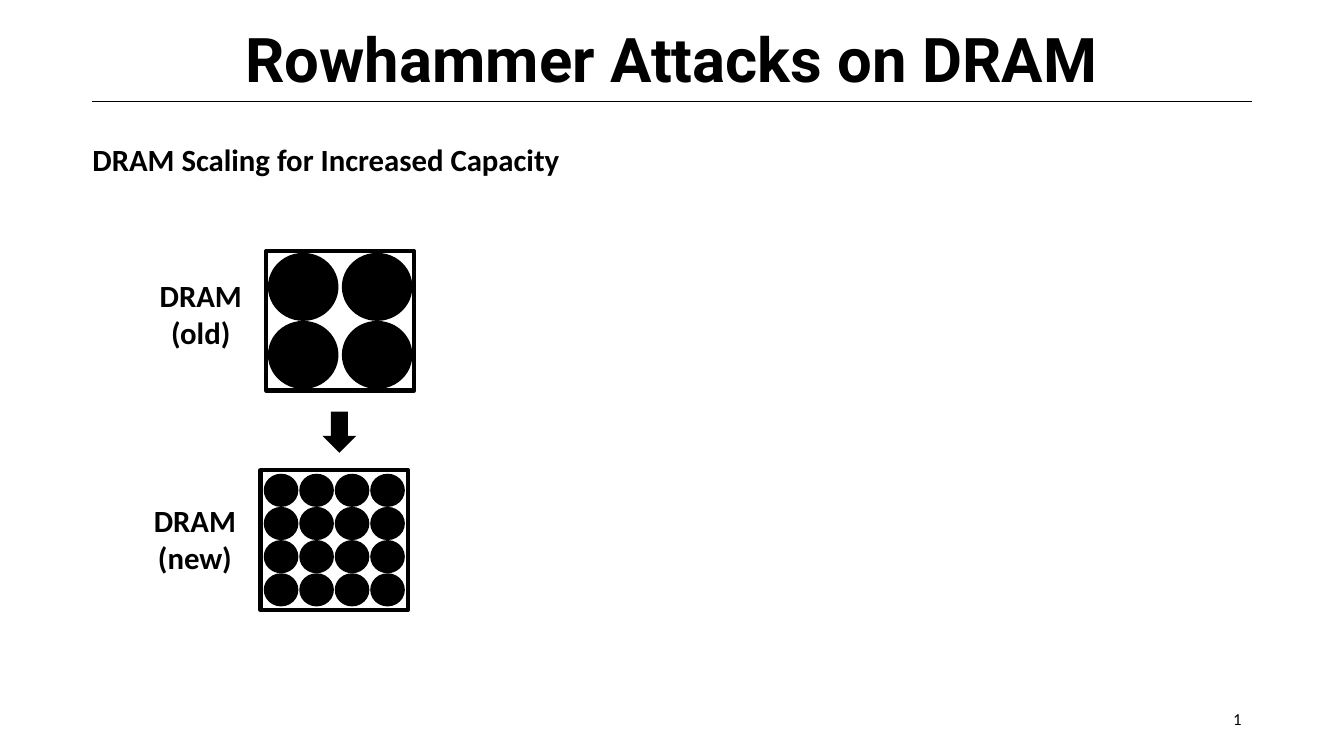
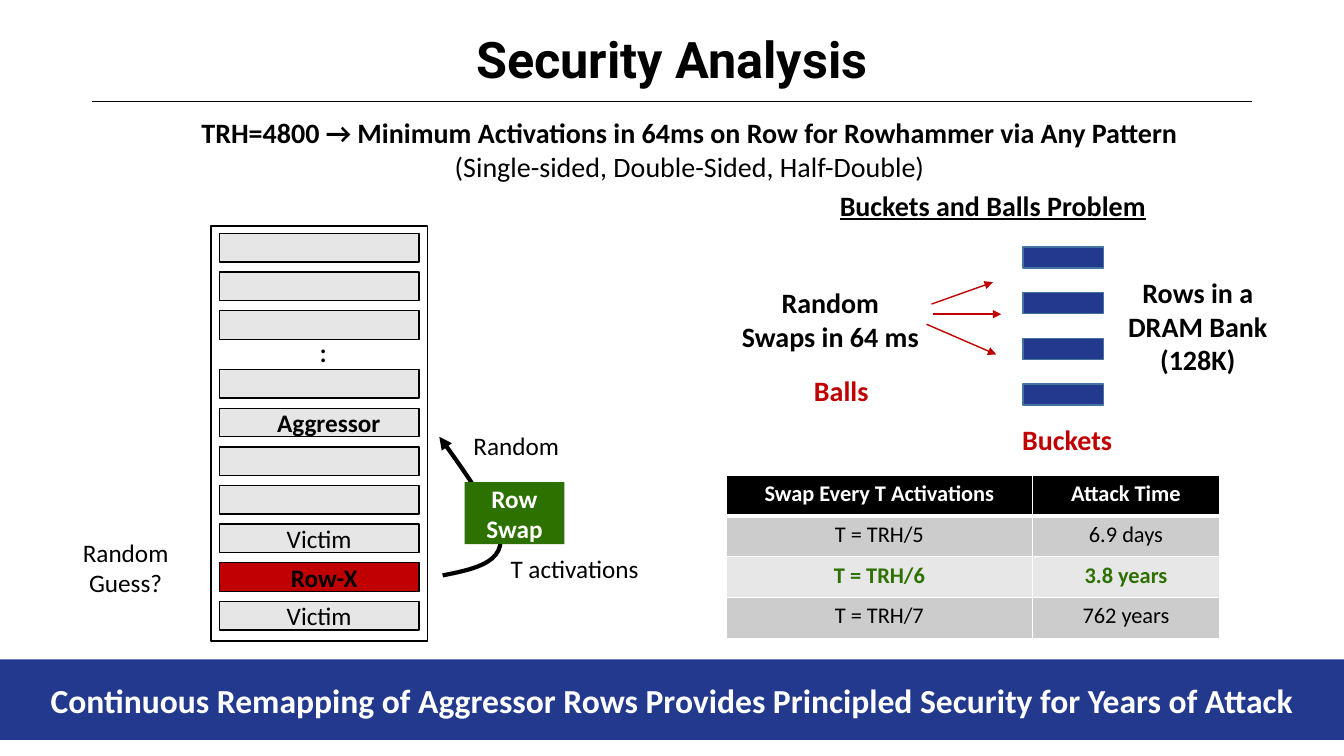
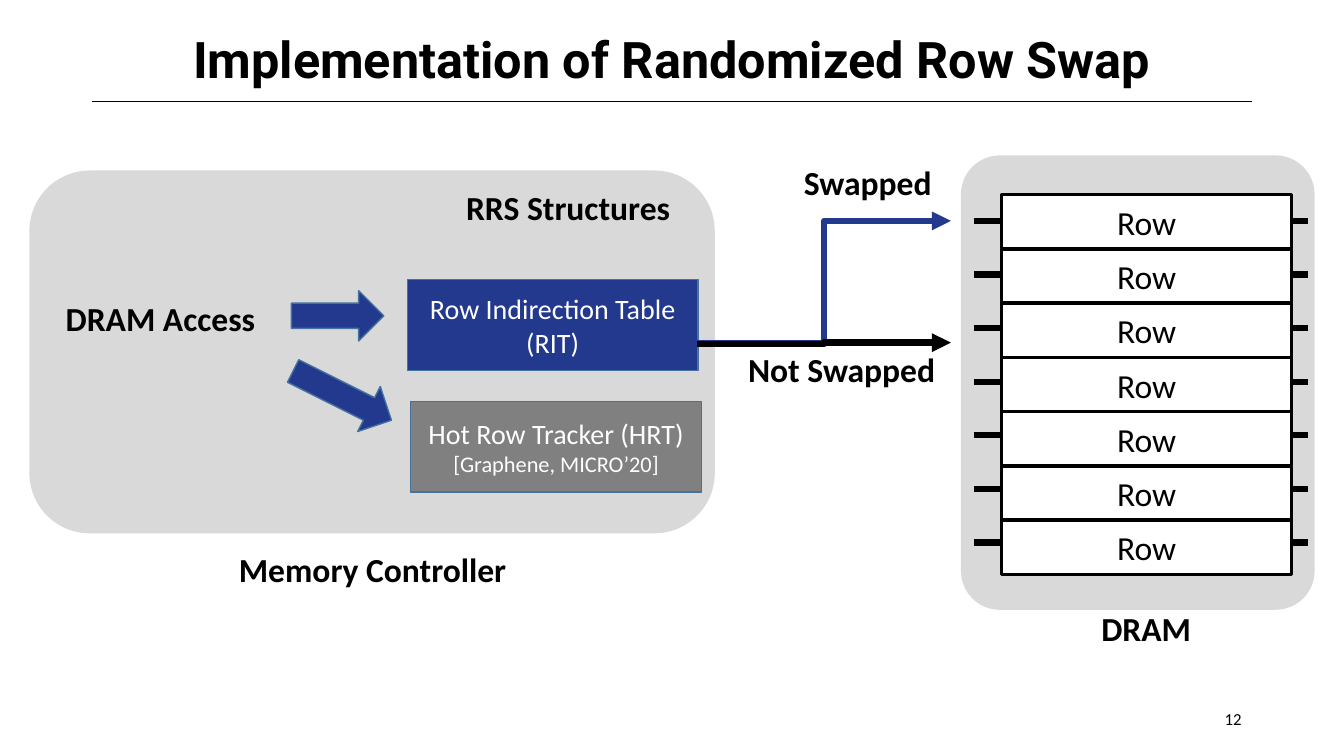
"""Build three slides on Rowhammer attacks and randomized row swaps."""
import dataclasses
import itertools

import lxml.etree
import pptx
import pptx.dml.color
import pptx.enum.shapes
import pptx.enum.text
import pptx.oxml.ns
import pptx.util

SHAPE = pptx.enum.shapes.MSO_SHAPE
LINK = pptx.enum.shapes.MSO_CONNECTOR
ALIGN = pptx.enum.text.PP_ALIGN
ANCHOR = pptx.enum.text.MSO_ANCHOR
COLUMNS, ROWS = 160, 90
CELL = pptx.util.Inches(1) / 12
COLORS = {
    "black": "000000", "white": "FFFFFF", "blue": "23398E", "edge": "43739E",
    "red": "C00000", "green": "2D7100", "row": "E7E6E6", "panel": "D9D9D9",
    "gray": "808080", "odd": "CCCCCC", "even": "E7E7E7",
}


@dataclasses.dataclass
class Box:
    """A rectangle in grid columns and rows."""
    x: float
    y: float
    w: float
    h: float

    def inner(self, x, y, w, h):
        """Return a box placed from this box's corner."""
        return Box(self.x + x, self.y + y, w, h)

    def point(self, x, y):
        """Return a slide point given from this box's corner."""
        return self.x + x, self.y + y

    def emu(self):
        """Return left, top, width and height as lengths."""
        return [length(v) for v in (self.x, self.y, self.w, self.h)]


def length(cells):
    """Convert grid cells to a length."""
    return pptx.util.Emu(round(cells * CELL))


def rgb(name):
    """Return a named colour."""
    return pptx.dml.color.RGBColor.from_string(COLORS[name])


def qn(tag):
    """Return a qualified XML name."""
    return pptx.oxml.ns.qn(tag)


def write(frame, lines, size, color="black", bold=False, align=ALIGN.CENTER, font="Calibri"):
    """Fill a text frame with evenly formatted paragraphs and return them."""
    frame.word_wrap = True
    frame.text = "\n".join(lines)
    for paragraph in frame.paragraphs:
        paragraph.alignment = align
        paragraph.font.name = font
        paragraph.font.size = pptx.util.Pt(size)
        paragraph.font.bold = bold
        paragraph.font.color.rgb = rgb(color)
    return frame.paragraphs


def label(slide, box, lines, size, **style):
    """Place a text box and return its paragraphs."""
    return write(slide.shapes.add_textbox(*box.emu()).text_frame, lines, size, **style)


def paint(shape, fill=None, line=None, width=1):
    """Set fill and outline and drop the shadow."""
    shape.shadow.inherit = False
    if fill:
        shape.fill.solid()
        shape.fill.fore_color.rgb = rgb(fill)
    else:
        shape.fill.background()
    if line:
        shape.line.color.rgb = rgb(line)
        shape.line.width = pptx.util.Pt(width)
    else:
        shape.line.fill.background()


def block(slide, box, fill=None, line=None, width=1, kind=SHAPE.RECTANGLE):
    """Place a preset shape."""
    shape = slide.shapes.add_shape(kind, *box.emu())
    paint(shape, fill, line, width)
    return shape


def add_arrowhead(shape):
    """End a line in a triangle."""
    outline = shape.element.spPr.find(qn("a:ln"))
    lxml.etree.SubElement(outline, qn("a:tailEnd"), type="triangle")


def connect(slide, start, end, color, width, arrow=False, kind=LINK.STRAIGHT):
    """Draw a connector between two grid points."""
    connector = slide.shapes.add_connector(kind, *[length(v) for v in (*start, *end)])
    connector.line.color.rgb = rgb(color)
    connector.line.width = pptx.util.Pt(width)
    if arrow:
        add_arrowhead(connector)
    lxml.etree.SubElement(connector.element.spPr, qn("a:effectLst"))
    return connector


def titled_slide(deck, title, size=36, number=None):
    """Add a slide with its title and, if given, its page number."""
    slide = deck.slides.add_slide(deck.slide_layouts[5])
    heading = slide.shapes.title
    heading.left, heading.top, heading.width, heading.height = Box(11, 2.8, 138, 9.3).emu()
    heading.text_frame.vertical_anchor = ANCHOR.MIDDLE
    write(heading.text_frame, [title], size, bold=True, font="Roboto")[0].line_spacing = 0.9
    if number:
        label(slide, Box(113, 83.8, 36, 4), [number], 12, align=ALIGN.RIGHT)
    return slide


def share_title_rule(deck, slide):
    """Draw the line under the title once, on the shared layout."""
    rule = connect(slide, (11, 12.1), (149, 12.1), "black", 0.5)
    deck.slide_layouts[5].shapes.element.append(rule.element)


def memory_chip(slide, box, name, per_side, pad, gap, name_top):
    """Draw a chip with a square array of round cells and a name at its left."""
    block(slide, box, line="black", width=3)
    step_x = (box.w - 2 * pad + gap) / per_side
    step_y = (box.h - 2 * pad) / per_side
    for row, column in itertools.product(range(per_side), repeat=2):
        dot = box.inner(pad + column * step_x, pad + row * step_y, step_x - gap, step_y)
        block(slide, dot, "black", kind=SHAPE.OVAL)
    label(slide, box.inner(-17.8, name_top, 20, 10), ["DRAM", name], 22, bold=True)


def row_bank(slide, box):
    """Draw the bank of memory rows with aggressor and victims."""
    block(slide, box, line="black")
    marks = {4: ("Aggressor", True, 0.19), 7: ("Victim", False, 0),
             8: ("Row-X", True, 0.1), 9: ("Victim", False, 0)}
    for i in range(10):
        top = 0.9 + 4.6 * i + (2.4 if i > 2 else 0)
        name, bold, inset = marks.get(i, ("", False, 0))
        row = block(slide, box.inner(1, top, 23.8, 3.4), "red" if i == 8 else "row", "black")
        if name:
            frame = row.text_frame
            frame.margin_left = pptx.util.Inches(inset)
            frame.margin_right = frame.margin_top = frame.margin_bottom = 0
            frame.vertical_anchor = ANCHOR.MIDDLE
            write(frame, [name], 18, bold=bold)
    for dot in label(slide, box.inner(6.7, 13.7, 13.4, 4), [".", "."], 18, bold=True):
        dot.line_spacing = 0.3


def bezier(corners, steps=12):
    """Return points along a cubic curve, without its first."""
    points = []
    for i in range(1, steps + 1):
        t = i / steps
        weights = ((1 - t) ** 3, 3 * t * (1 - t) ** 2, 3 * t * t * (1 - t), t ** 3)
        points.append(tuple(sum(w * c[axis] for w, c in zip(weights, corners))
                            for axis in (0, 1)))
    return points


def swap_loop(slide, box):
    """Draw the curved arrow through the row swap block."""
    start, middle, tip = (0.4, 17.9), (7.3, 13.7), (0, 1.4)
    curve = (bezier([start, (3.9, 17.2), (7.3, 16.5), middle])
             + bezier([middle, (7.2, 10.9), tip, tip]))
    builder = slide.shapes.build_freeform(*[length(v) for v in box.point(*start)])
    builder.add_line_segments([tuple(length(v) for v in box.point(*p)) for p in curve], close=False)
    loop_arrow = builder.convert_to_shape()
    paint(loop_arrow, line="black", width=3)
    add_arrowhead(loop_arrow)
    swap = block(slide, box.inner(3, 6.8, 11.9, 7.4), "green")
    swap.text_frame.vertical_anchor = ANCHOR.MIDDLE
    write(swap.text_frame, ["Row", "Swap"], 18, color="white", bold=True)
    label(slide, box.inner(-1.7, 0, 21.7, 4.8), ["Random"], 18)
    label(slide, box.inner(7.3, 14.7, 18.1, 4.8), ["T activations"], 18, align=ALIGN.LEFT)


def buckets_and_balls(slide, box):
    """Draw random swaps thrown at the rows of a bank."""
    heading = label(slide, box.inner(12.9, 0, 44.6, 5.3), ["Buckets and Balls Problem"], 20, bold=True)
    heading[0].font.underline = True
    for i in range(4):
        block(slide, box.inner(38.8, 7.6 + 5.44 * i, 9.6, 2.5), "blue", "edge")
    for start, end in (((27.9, 14.4), (35.2, 11.8)),
                       ((28.1, 15.6), (36.2, 15.6)),
                       ((27.3, 16.8), (35.6, 20.4))):
        connect(slide, box.point(*start), box.point(*end), "red", 1, arrow=True)
    for place, lines, color in (
            ((0.2, 11.6, 31.3, 9.2), ["Random", "Swaps in 64 ms"], "black"),
            ((40.3, 10.4, 38.6, 13.3), ["Rows in a", "DRAM Bank", "(128K)"], "black"),
            ((8.8, 22.1, 16.7, 5.3), ["Balls"], "red"),
            ((35.7, 27.9, 16.7, 5.3), ["Buckets"], "red")):
        label(slide, box.inner(*place), lines, 20, color=color, bold=True)


def attack_table(slide, box):
    """Add the table of attack times."""
    entries = [("Swap Every T Activations", "Attack Time"), ("T = TRH/5", "6.9 days"),
               ("T = TRH/6", "3.8 years"), ("T = TRH/7", "762 years")]
    looks = [("black", "white", True), ("odd", "black", False),
             ("even", "green", True), ("odd", "black", False)]
    table = slide.shapes.add_table(4, 2, *box.emu()).table
    for column, share in zip(table.columns, (0.62, 0.38)):
        column.width = length(box.w * share)
    for r, (texts, (fill, color, bold)) in enumerate(zip(entries, looks)):
        table.rows[r].height = length(box.h / len(entries))
        for c, text in enumerate(texts):
            cell = table.cell(r, c)
            write(cell.text_frame, [text], 16, color=color, bold=bold)
            properties = cell._tc.get_or_add_tcPr()
            for side in "LRTB":
                width = pptx.util.Pt(3 if r == 0 and side == "B" else 1)
                border = lxml.etree.SubElement(properties, qn("a:ln" + side), w=str(int(width)))
                solid = lxml.etree.SubElement(border, qn("a:solidFill"))
                lxml.etree.SubElement(solid, qn("a:srgbClr"), val=COLORS["white"])
            cell.fill.solid()
            cell.fill.fore_color.rgb = rgb(fill)


def takeaway_band(slide, box, text):
    """Draw the full-width closing statement."""
    band = block(slide, box, "blue")
    band.text_frame.vertical_anchor = ANCHOR.MIDDLE
    write(band.text_frame, [text], 24, color="white", bold=True)


def memory_controller(slide, box):
    """Draw the controller with its two row swap structures."""
    block(slide, box, "panel", kind=SHAPE.ROUNDED_RECTANGLE)
    label(slide, box.inner(50.8, 1.4, 27.5, 6), ["RRS Structures"], 24, bold=True, align=ALIGN.LEFT)
    label(slide, box.inner(-0.7, 14.6, 32.6, 6), ["DRAM Access"], 24, bold=True)
    label(slide, box.inner(10.9, 44.4, 59.9, 6), ["Memory Controller"], 24, bold=True)
    for place, angle in (((31.2, 14.3, 11, 6), 0), ((30.7, 23.8, 13.1, 6), 26.6)):
        block(slide, box.inner(*place), "blue", "edge", kind=SHAPE.RIGHT_ARROW).rotation = angle
    for x, y, fill, lines in (
            (45, 13, "blue", ["Row Indirection Table (RIT)"]),
            (45.4, 27.5, "gray", ["Hot Row Tracker (HRT)", "[Graphene, MICRO’20]"])):
        structure = block(slide, box.inner(x, y, 34.6, 10.8), fill, "edge")
        structure.text_frame.vertical_anchor = ANCHOR.MIDDLE
        for citation in write(structure.text_frame, lines, 20, color="white")[1:]:
            citation.font.size = pptx.util.Pt(16)


def access_routes(slide, box):
    """Draw the swapped and unswapped routes to memory."""
    for start, end, color in ((22.1, 7.6, "blue"), (22.3, 22.1, "black")):
        connect(slide, box.point(0, start), box.point(box.w, end), color, 4.5,
                arrow=True, kind=LINK.ELBOW)
    label(slide, box.inner(9.8, 0, 21, 6), ["Swapped"], 24, bold=True)
    label(slide, box.inner(-12, 22.3, 58.4, 6), ["Not Swapped"], 24, bold=True)


def dram_rows(slide, box):
    """Draw the memory with seven wired rows."""
    panel = block(slide, box, "panel", kind=SHAPE.ROUNDED_RECTANGLE)
    panel.adjustments[0] = 0.11
    for i in range(7):
        wire = 7.8 + 6.38 * i
        connect(slide, box.point(1.5, wire), box.point(41.3, wire), "black", 4.5)
    for i in range(7):
        row = block(slide, box.inner(4.8, 4.7 + 6.46 * i, 34.6, 6.4), "white", "black", 2.25)
        row.text_frame.vertical_anchor = ANCHOR.MIDDLE
        write(row.text_frame, ["Row"], 24)
    label(slide, box.inner(13.8, 53.3, 16.5, 6), ["DRAM"], 24, bold=True)


def scaling_slide(deck):
    """Build the slide on memory scaling."""
    slide = titled_slide(deck, "Rowhammer Attacks on DRAM", 44, "1")
    share_title_rule(deck, slide)
    label(slide, Box(8.6, 16.2, 60.4, 5), ["DRAM Scaling for Increased Capacity"], 22, bold=True)
    memory_chip(slide, Box(31.7, 29.9, 17.6, 16.6), "(old)", 2, 0.2, 0.4, 2.5)
    block(slide, Box(38.4, 49, 4, 4.9), "black", kind=SHAPE.DOWN_ARROW)
    memory_chip(slide, Box(31, 56, 17.6, 16.6), "(new)", 4, 0.4, 0.1, 3.1)


def security_slide(deck):
    """Build the slide on attack times."""
    slide = titled_slide(deck, "Security Analysis")
    threshold = label(slide, Box(21.6, 13.2, 121, 9.2), [
        "TRH=4800 → Minimum Activations in 64ms on Row for Rowhammer via Any Pattern",
        "(Single-sided, Double-Sided, Half-Double)"], 20, bold=True)
    threshold[1].font.bold = False
    row_bank(slide, Box(25.1, 26.9, 25.8, 49.4))
    swap_loop(slide, Box(52.3, 50.6, 25, 21))
    buckets_and_balls(slide, Box(83, 21.8, 77, 34))
    attack_table(slide, Box(86.5, 56.6, 58.7, 19.4))
    takeaway_band(slide, Box(0, 78.5, COLUMNS, 9.6),
                  "Continuous Remapping of Aggressor Rows Provides Principled Security for Years of Attack")
    label(slide, Box(4.1, 63.4, 21.7, 8.5), ["Random", "Guess?"], 18)


def implementation_slide(deck):
    """Build the slide on the memory controller."""
    slide = titled_slide(deck, "Implementation of Randomized Row Swap", number="12")
    memory_controller(slide, Box(3.5, 20.3, 81.6, 43.2))
    access_routes(slide, Box(83, 18.7, 30.2, 29))
    dram_rows(slide, Box(114.4, 18.5, 42.1, 54.1))


def main():
    """Build and save the deck."""
    deck = pptx.Presentation()
    deck.slide_width, deck.slide_height = length(COLUMNS), length(ROWS)
    scaling_slide(deck)
    security_slide(deck)
    implementation_slide(deck)
    deck.save("out.pptx")


if __name__ == "__main__":
    main()
